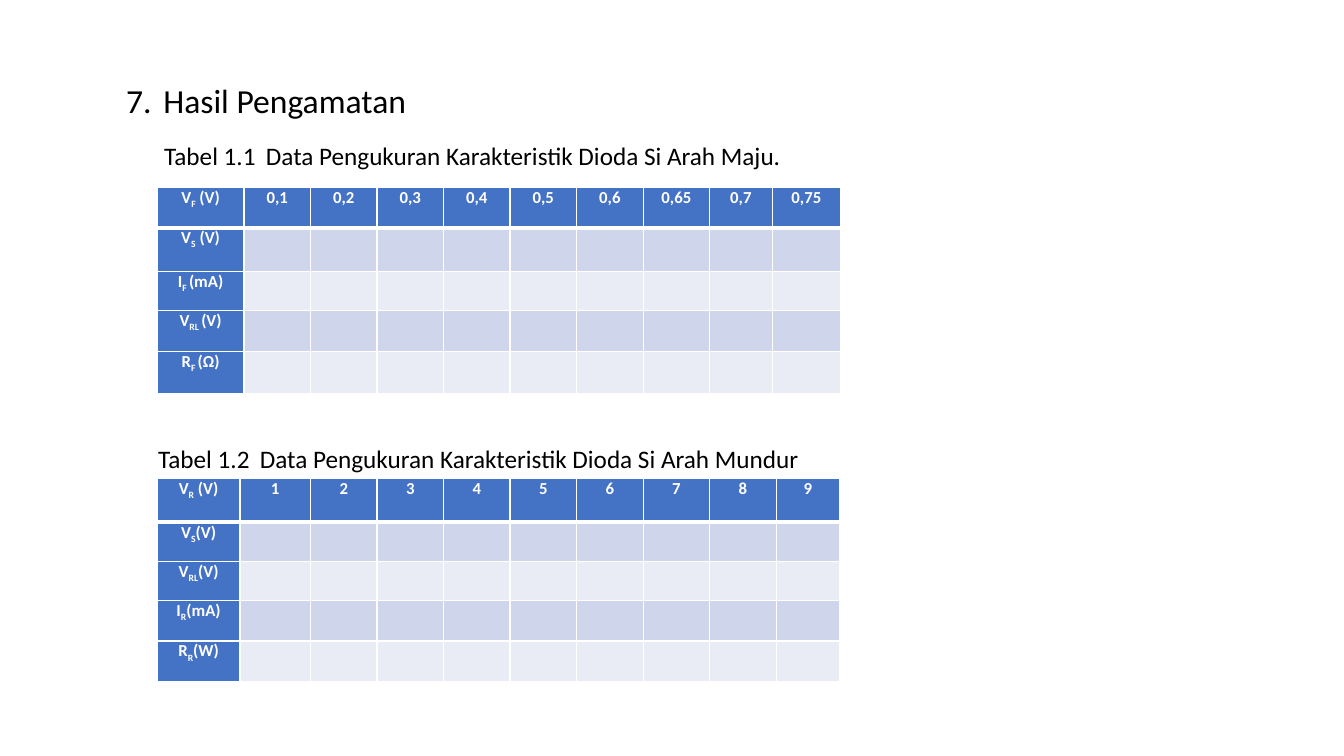
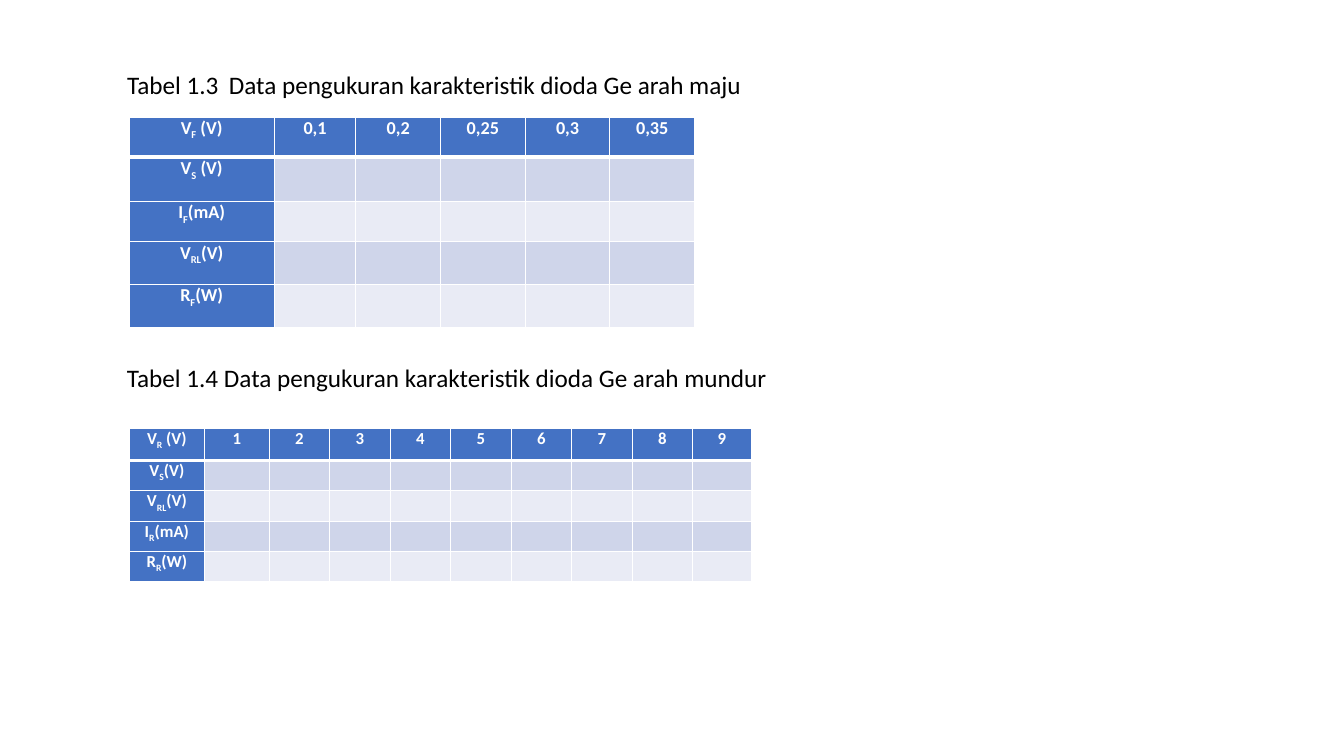
from lxml.etree import SubElement
from pptx import Presentation
from pptx.dml.color import RGBColor
from pptx.enum.text import MSO_ANCHOR, MSO_AUTO_SIZE, PP_ALIGN
from pptx.oxml.ns import qn
from pptx.util import Inches, Pt


def rgb(hex_code):
    return RGBColor.from_string(hex_code)


class Deck:
    FONT = "Calibri"
    TEXT = "000000"
    WHITE = "FFFFFF"
    HEADER = "4472C4"
    BANDS = ("CFD5EA", "E9EBF5")
    TEXT_WIDTH = 6.67
    TITLE_ONLY = 5

    def __init__(self):
        self.presentation = Presentation()
        self.presentation.slide_width = Inches(13.33)
        self.presentation.slide_height = Inches(7.5)
        self.slide = None

    def new_slide(self):
        layout = self.presentation.slide_layouts[self.TITLE_ONLY]
        self.slide = self.presentation.slides.add_slide(layout)

    def style_font(self, font, size, color, bold=False):
        font.name = self.FONT
        font.size = Pt(size)
        font.bold = bold
        font.color.rgb = rgb(color)

    def write_line(self, shape, text, size, tab):
        """Fill a text shape with one left-aligned line; tab is its tab stop in inches."""
        frame = shape.text_frame
        frame.word_wrap = True
        frame.auto_size = MSO_AUTO_SIZE.SHAPE_TO_FIT_TEXT
        frame.vertical_anchor = MSO_ANCHOR.TOP
        line = frame.paragraphs[0]
        line.text = text
        line.alignment = PP_ALIGN.LEFT
        stops = SubElement(line._p.get_or_add_pPr(), qn("a:tabLst"))
        SubElement(stops, qn("a:tab"), pos=str(Inches(tab)), algn="l")
        self.style_font(line.font, size, self.TEXT)

    def title(self, text, left, top, height=0.4, size=18, tab=1.01):
        heading = self.slide.shapes.title
        heading.left, heading.top = Inches(left), Inches(top)
        heading.width, heading.height = Inches(self.TEXT_WIDTH), Inches(height)
        self.write_line(heading, text, size, tab)

    def caption(self, text, left, top):
        box = self.slide.shapes.add_textbox(
            Inches(left), Inches(top), Inches(self.TEXT_WIDTH), Inches(0.4))
        self.write_line(box, text, 18, 1.01)

    def borders(self, cell, row):
        """Draw white cell edges, with a heavy rule under the header row."""
        weights = {"L": 1, "R": 1, "T": 3 if row == 1 else 1, "B": 3 if row == 0 else 1}
        for side, weight in weights.items():
            edge = SubElement(cell._tc.get_or_add_tcPr(), qn(f"a:ln{side}"), w=str(Pt(weight)))
            fill = SubElement(edge, qn("a:solidFill"))
            SubElement(fill, qn("a:srgbClr"), val=self.WHITE)

    def label(self, cell, text, size):
        """Write a heading; text between underscores becomes a subscript."""
        paragraph = cell.text_frame.paragraphs[0]
        paragraph.alignment = PP_ALIGN.CENTER
        self.style_font(paragraph.font, size, self.WHITE, bold=True)
        for position, part in enumerate(text.split("_")):
            run = paragraph.add_run()
            run.text = part
            if position % 2:
                run._r.get_or_add_rPr().set("baseline", "-25000")
        if not text:
            SubElement(paragraph._p, qn("a:endParaRPr"), sz=str(size * 100))

    def data_table(self, left, top, widths, heights, quantities, values, size=12):
        """Build a measurement table: values across the top, quantities down the side."""
        table = self.slide.shapes.add_table(
            len(heights), len(widths), Inches(left), Inches(top),
            Inches(sum(widths)), Inches(sum(heights))).table
        table.first_col = True
        for column, width in zip(table.columns, widths):
            column.width = Inches(width)
        for row, height in zip(table.rows, heights):
            row.height = Inches(height)
        headings = [quantities[0], *values]
        for r, quantity in enumerate(quantities):
            for c, heading in enumerate(headings):
                cell = table.cell(r, c)
                cell.margin_left = cell.margin_right = Inches(0.07)
                cell.margin_top = cell.margin_bottom = 0
                is_heading = r == 0 or c == 0
                self.borders(cell, r)
                cell.fill.solid()
                cell.fill.fore_color.rgb = rgb(
                    self.HEADER if is_heading else self.BANDS[(r - 1) % 2])
                text = heading if r == 0 else quantity if c == 0 else ""
                self.label(cell, text, size)


REVERSE_QUANTITIES = ["V_R_ (V)", "V_S_(V)", "V_RL_(V)", "I_R_(mA)", "R_R_(W)"]
REVERSE_VOLTAGES = [str(volts) for volts in range(1, 10)]


def silicon_slide(deck):
    deck.new_slide()
    deck.title("7.\tHasil Pengamatan", 1.15, 0.74, height=0.5, size=24, tab=0.37)
    deck.caption("Tabel 1.1\tData Pengukuran Karakteristik Dioda Si Arah Maju.", 1.53, 1.34)
    deck.data_table(
        1.56, 1.86, [0.86] + [0.66] * 7 + [0.62, 0.68], [0.4, 0.43, 0.39, 0.41, 0.42],
        ["V_F_ (V)", "V_S_ (V)", "I_F _(mA)", "V_RL _(V)", "R_F _(Ω)"],
        ["0,1", "0,2", "0,3", "0,4", "0,5", "0,6", "0,65", "0,7", "0,75"])
    deck.caption("Tabel 1.2\tData Pengukuran Karakteristik Dioda Si Arah Mundur", 1.47, 4.35)
    deck.data_table(
        1.56, 4.75, [0.82, 0.7] + [0.66] * 7 + [0.63], [0.43, 0.39, 0.39, 0.4, 0.4],
        REVERSE_QUANTITIES, REVERSE_VOLTAGES)


def germanium_slide(deck):
    deck.new_slide()
    deck.title("Tabel 1.3\tData pengukuran karakteristik dioda Ge arah maju", 1.16, 0.64)
    deck.data_table(
        1.28, 1.16, [1.44, 0.81] + [0.84] * 4, [0.4, 0.44, 0.4, 0.42, 0.43],
        ["V_F_ (V)", "V_S_ (V)", "I_F_(mA)", "V_RL_(V)", "R_F_(W)"],
        ["0,1", "0,2", "0,25", "0,3", "0,35"], size=13)
    deck.caption("Tabel 1.4 Data pengukuran karakteristik dioda Ge arah mundur", 1.16, 3.55)
    deck.data_table(
        1.28, 4.25, [0.75, 0.64] + [0.6] * 7 + [0.58], [0.32, 0.29, 0.29, 0.3, 0.3],
        REVERSE_QUANTITIES, REVERSE_VOLTAGES)


def main():
    deck = Deck()
    silicon_slide(deck)
    germanium_slide(deck)
    deck.presentation.save("out.pptx")


if __name__ == "__main__":
    main()
